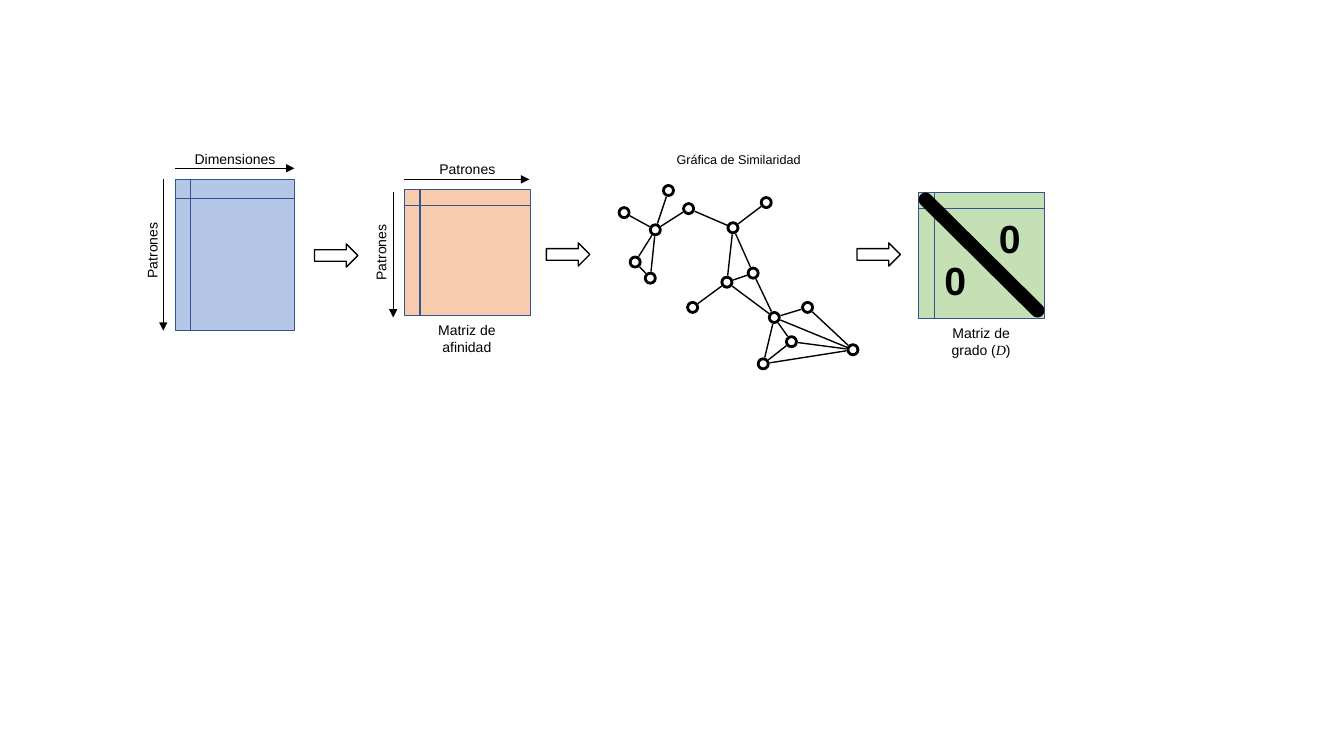
import math
from lxml import etree
from pptx import Presentation, util as u
from pptx.dml.color import RGBColor
from pptx.enum import shapes, text
from pptx.oxml import ns

prs = Presentation()
prs.slide_width, prs.slide_height = u.Inches(13.33), u.Inches(7.5)
s = prs.slides.add_slide(prs.slide_layouts[6])

# Grid: 133.3 columns by 75 rows of square cells
CELL = prs.slide_height / 75
BLACK, WHITE, NAVY = "000000", "FFFFFF", "325491"


def paint(fill, colour):
    fill.solid()
    fill.fore_color.rgb = RGBColor.from_string(colour)


def label(runs, x, y, w, h, size=10, bold=False, turn=0, wrap=True):
    tb = s.shapes.add_textbox(*(round(v * CELL) for v in (x, y, w, h)))
    tb.rotation = turn
    tf = tb.text_frame
    tf.word_wrap = wrap
    tf.auto_size = text.MSO_AUTO_SIZE.SHAPE_TO_FIT_TEXT
    p = tf.paragraphs[0]
    p.alignment = text.PP_ALIGN.CENTER
    for words, face, italic in runs if isinstance(runs, list) else [(runs, "Arial", False)]:
        r = p.add_run()
        r.text = words
        r.font.name, r.font.size = face, u.Pt(size)
        r.font.bold, r.font.italic = bold, italic
        paint(r.font.fill, BLACK)


# Similarity graph: node centres and edges
NODE, GAP = 1, 0.65
nodes = {
    "A": (65, 22.8), "B": (66.3, 18.9), "C": (63, 26), "D": (68.3, 20.7),
    "E": (64.5, 27.6), "F": (72.7, 22.6), "G": (74.7, 27.1), "H": (76, 20.1),
    "I": (72.1, 28), "J": (76.8, 31.5), "K": (78.5, 33.9), "L": (80.1, 30.5),
    "M": (75.7, 36.1), "N": (84.6, 34.7), "O": (61.9, 21.1), "P": (68.7, 30.5),
}
edges = "AD AB JG DF CA EA EC IF GF HF IG PI KJ LJ NK NM NL KM JM JI NJ OA".split()

# Matrices, flow arrows and graph nodes
kind = shapes.MSO_SHAPE
pieces = [
    (kind.FLOWCHART_INTERNAL_STORAGE, 17.4, 17.8, 11.8, 15, "B4C7E7", NAVY, 1),
    (kind.FLOWCHART_INTERNAL_STORAGE, 40.1, 18.8, 12.5, 12.5, "F8CBAD", NAVY, 1),
    (kind.FLOWCHART_INTERNAL_STORAGE, 91.1, 19.1, 12.5, 12.5, "C5E0B4", NAVY, 1),
]
for x, y in ((31.2, 24.2), (54.2, 24.1), (85, 24.1)):
    pieces.append((kind.RIGHT_ARROW, x, y, 4.3, 2.3, None, BLACK, 1))
for x, y in nodes.values():
    pieces.append((kind.OVAL, x - NODE / 2, y - NODE / 2, NODE, NODE, WHITE, BLACK, 2))

for preset, x, y, w, h, fill, line, width in pieces:
    sp = s.shapes.add_shape(preset, *(round(v * CELL) for v in (x, y, w, h)))
    sp.shadow.inherit = False
    if fill:
        paint(sp.fill, fill)
    else:
        sp.fill.background()
    paint(sp.line.fill, line)
    sp.line.width = u.Pt(width)

# Axis arrows, diagonal and graph edges
strokes = [
    (16.2, 17.8, 16.2, 32.8, 1, True),
    (17.4, 16.7, 29.2, 16.7, 1, True),
    (40.1, 17.8, 52.5, 17.8, 1, True),
    (39, 19, 39, 31.5, 1, True),
    (91.8, 19.8, 102.9, 30.8, 10, False),
]
for start, end in edges:
    (x1, y1), (x2, y2) = nodes[start], nodes[end]
    share = GAP / math.hypot(x2 - x1, y2 - y1)
    dx, dy = share * (x2 - x1), share * (y2 - y1)
    strokes.append((x1 + dx, y1 + dy, x2 - dx, y2 - dy, 1, False))

for *ends, width, arrow in strokes:
    cx = s.shapes.add_connector(shapes.MSO_CONNECTOR.STRAIGHT, *(round(v * CELL) for v in ends))
    paint(cx.line.fill, BLACK)
    cx.line.width = u.Pt(width)
    ln = cx._element.spPr.find(ns.qn("a:ln"))
    if arrow:
        etree.SubElement(ln, ns.qn("a:tailEnd"), type="triangle")
    if width > 1:
        ln.set("cap", "rnd")
    etree.SubElement(cx._element.spPr, ns.qn("a:effectLst"))

# Axis names
label("Dimensiones", 17.4, 14.4, 11.8, 2.7)
label("Patrones", 11.3, 23.5, 7.6, 2.7, turn=270, wrap=False)
label("Patrones", 40.1, 15.4, 12.5, 2.7)
label("Patrones", 31.6, 23.7, 12.4, 2.7, turn=270)

# Captions
label("Gráfica de Similaridad", 61.4, 14.6, 23.7, 2.5, size=9)
label("Matriz de afinidad", 41.2, 31.4, 10.2, 4.4)
label([("Matriz de grado (", "Arial", False), ("D", "Times New Roman", True),
       (")", "Arial", False)], 92.2, 31.7, 10.2, 4.4)

# Zeros on both sides of the diagonal
for x, y in ((97.9, 20.8), (92.5, 24.9)):
    label("0", x, y, 4.5, 5.7, size=28, bold=True)

prs.save("out.pptx")
